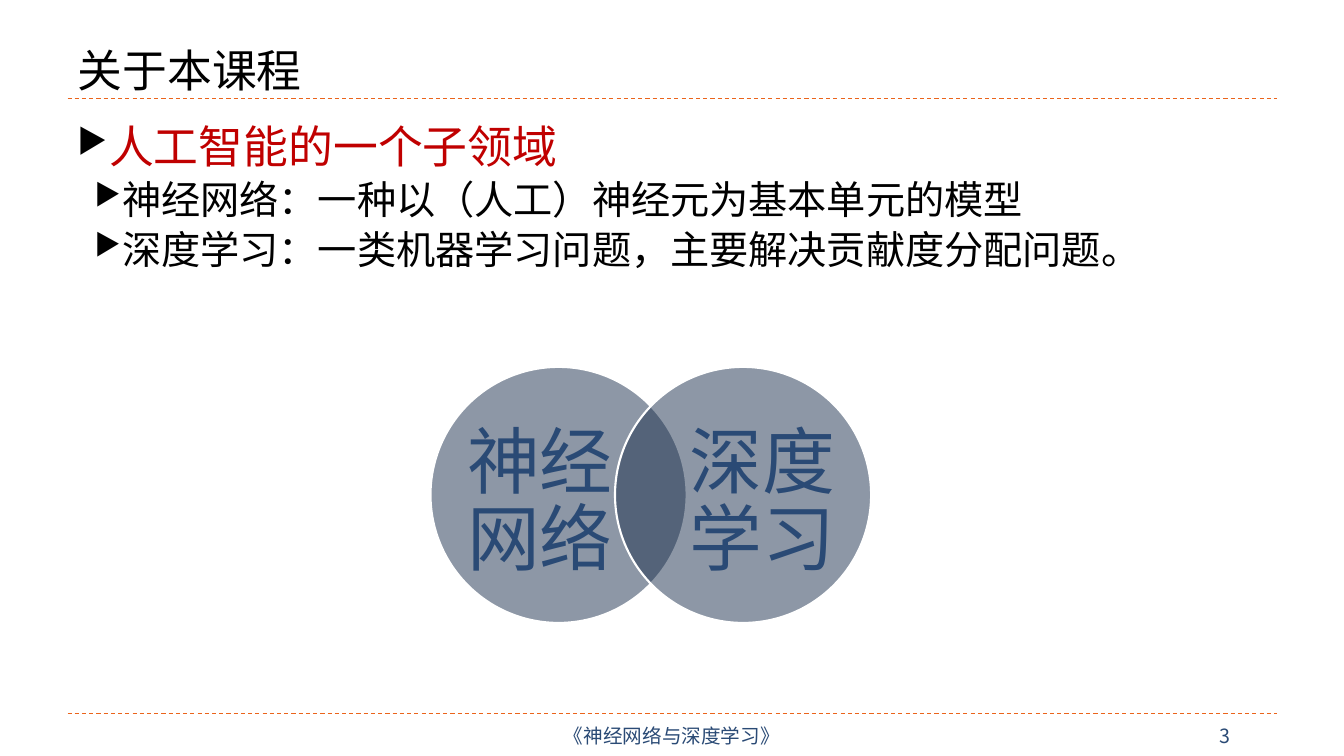
from lxml import etree
from pptx import Presentation
from pptx.dml.color import RGBColor
from pptx.enum.dml import MSO_LINE
from pptx.enum.shapes import MSO_CONNECTOR, MSO_SHAPE
from pptx.enum.text import MSO_ANCHOR, MSO_AUTO_SIZE, PP_ALIGN
from pptx.oxml.ns import qn
from pptx.util import Inches, Pt

TITLE = "关于本课程"
FOOTER = "《神经网络与深度学习》"
PAGE_NUMBER = "3"
BLACK = RGBColor(0x00, 0x00, 0x00)
WHITE = RGBColor(0xFF, 0xFF, 0xFF)
RED = RGBColor(0xC0, 0x00, 0x00)
BLUE = RGBColor(0x2A, 0x4A, 0x75)
NAVY = RGBColor(0x1C, 0x31, 0x4E)
ORANGE = RGBColor(0xEB, 0x64, 0x1B)

# level, text, size, colour
BULLETS = [
    (0, "人工智能的一个子领域", 32, RED),
    (1, "神经网络：一种以（人工）神经元为基本单元的模型", 28, BLACK),
    (1, "深度学习：一类机器学习问题，主要解决贡献度分配问题。", 28, BLACK),
]
# circle left, label left, label
CIRCLES = [(4.27, 4.62, "神经网络"), (6.1, 6.83, "深度学习")]

CJK_FONT = "Noto Sans CJK SC"
BODY_FONT = "Times New Roman"
LINE_HEIGHT = 1.17
BULLET_INDENT = 0.17
MARGIN, CONTENT_WIDTH = 0.67, 12
RULE_TOPS = [0.98, 7.08]
CIRCLE_TOP, CIRCLE_SIZE = 3.64, 2.54


def style_paragraph(paragraph, font_name, size, color, line_height=None):
    if line_height:
        paragraph.line_spacing = Pt(round(size * line_height, 1))
    for run in paragraph.runs:
        run.font.name = font_name
        run.font.size = Pt(size)
        run.font.color.rgb = color
        latin = run.font._element.find(qn("a:latin"))
        east_asian = etree.Element(qn("a:ea"), typeface=CJK_FONT)
        latin.addnext(east_asian)


def add_text_box(shapes, left, top, width, height, text="", inset=0):
    text_box = shapes.add_textbox(Inches(left), Inches(top), Inches(width), Inches(height))
    frame = text_box.text_frame
    frame.word_wrap = True
    frame.vertical_anchor = MSO_ANCHOR.MIDDLE
    frame.margin_left = frame.margin_right = Inches(inset)
    frame.margin_top = frame.margin_bottom = Inches(inset / 2)
    frame.text = text
    return frame


def add_bullet(paragraph, level):
    paragraph.level = level
    properties = paragraph._p.get_or_add_pPr()
    properties.set("marL", str(Inches(BULLET_INDENT * (level + 1))))
    properties.set("indent", str(Inches(-BULLET_INDENT)))
    bullet_color = etree.SubElement(properties, qn("a:buClr"))
    etree.SubElement(bullet_color, qn("a:srgbClr"), val=str(BLACK))
    etree.SubElement(properties, qn("a:buSzPct"), val="76000")
    etree.SubElement(properties, qn("a:buChar"), char="▶")


def add_rule(shapes, top):
    rule = shapes.add_connector(
        MSO_CONNECTOR.STRAIGHT, Inches(MARGIN), Inches(top),
        Inches(MARGIN + CONTENT_WIDTH), Inches(top))
    rule.line.color.rgb = ORANGE
    rule.line.width = Pt(0.75)
    rule.line.dash_style = MSO_LINE.DASH
    etree.SubElement(rule._element.spPr, qn("a:effectLst"))


def add_circle(shapes, left):
    circle = shapes.add_shape(
        MSO_SHAPE.OVAL, Inches(left), Inches(CIRCLE_TOP),
        Inches(CIRCLE_SIZE), Inches(CIRCLE_SIZE))
    circle.shadow.inherit = False
    circle.fill.solid()
    circle.fill.fore_color.rgb = NAVY
    fill_color = circle._element.spPr.find(qn("a:solidFill")).find(qn("a:srgbClr"))
    etree.SubElement(fill_color, qn("a:alpha"), val="50000")
    circle.line.color.rgb = WHITE
    circle.line.width = Pt(1.5)


def main():
    presentation = Presentation()
    presentation.slide_width = Inches(13.33)
    presentation.slide_height = Inches(7.5)
    slide = presentation.slides.add_slide(presentation.slide_layouts[5])
    shapes = slide.shapes

    for top in RULE_TOPS:
        add_rule(shapes, top)

    title = shapes.title
    title.left, title.top = Inches(MARGIN), Inches(0.21)
    title.width, title.height = Inches(CONTENT_WIDTH), Inches(0.8)
    title.text_frame.text = TITLE
    title.text_frame.auto_size = MSO_AUTO_SIZE.NONE
    title.text_frame.vertical_anchor = MSO_ANCHOR.BOTTOM
    heading = title.text_frame.paragraphs[0]
    heading.alignment = PP_ALIGN.LEFT
    style_paragraph(heading, "Roboto", 32, BLACK, LINE_HEIGHT)

    body = add_text_box(shapes, MARGIN, 1.14, CONTENT_WIDTH, 5.86, inset=0.1)
    body.vertical_anchor = MSO_ANCHOR.TOP
    for index, (level, text, size, color) in enumerate(BULLETS):
        paragraph = body.add_paragraph() if index else body.paragraphs[0]
        paragraph.text = text
        add_bullet(paragraph, level)
        if index:
            paragraph.space_before = Pt(2.8)
        style_paragraph(paragraph, BODY_FONT, size, color, LINE_HEIGHT)

    diagram = shapes.add_group_shape()
    for circle_left, label_left, label in CIRCLES:
        add_circle(diagram.shapes, circle_left)
        frame = add_text_box(diagram.shapes, label_left, 4.02, 1.47, 1.94, label)
        frame.paragraphs[0].alignment = PP_ALIGN.CENTER
        style_paragraph(frame.paragraphs[0], BODY_FONT, 52, BLUE, LINE_HEIGHT * 0.9)

    footer = add_text_box(shapes, 4.5, 7.1, 4.33, 0.4, FOOTER)
    footer.paragraphs[0].alignment = PP_ALIGN.CENTER
    number = add_text_box(shapes, 12, 7.13, 0.41, 0.34, PAGE_NUMBER, inset=0.1)
    for frame in (footer, number):
        style_paragraph(frame.paragraphs[0], CJK_FONT, 14, BLUE)

    presentation.save("out.pptx")


if __name__ == "__main__":
    main()
